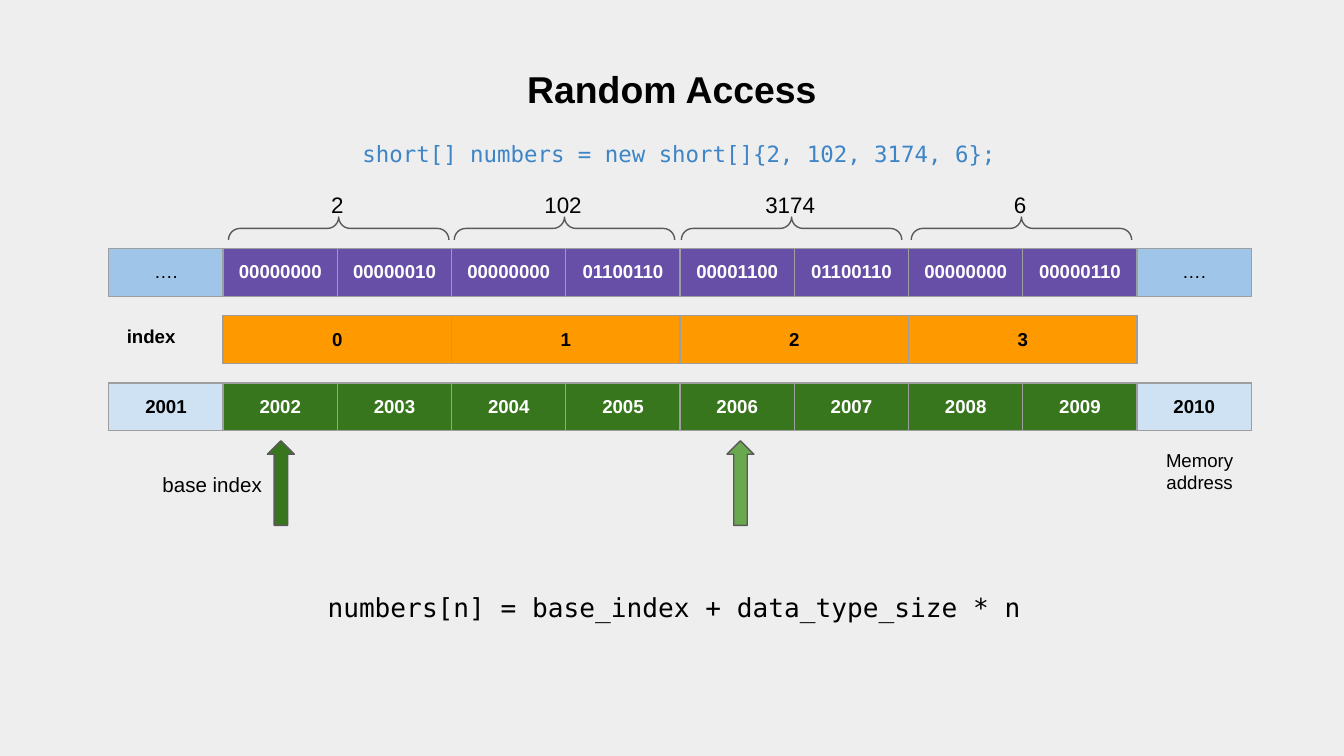
"""Build a slide on random access into an array of shorts."""
from lxml import etree
from pptx import Presentation
from pptx.dml.color import RGBColor
from pptx.enum.shapes import MSO_SHAPE
from pptx.enum.text import MSO_ANCHOR, PP_ALIGN
from pptx.oxml.ns import qn
from pptx.util import Inches, Pt

LEFT, CENTER = PP_ALIGN.LEFT, PP_ALIGN.CENTER
MIDDLE = MSO_ANCHOR.MIDDLE
BRACE, ARROW = MSO_SHAPE.LEFT_BRACE, MSO_SHAPE.UP_ARROW

BLACK = RGBColor(0x00, 0x00, 0x00)
WHITE = RGBColor(0xFF, 0xFF, 0xFF)
PAPER = RGBColor(0xEE, 0xEE, 0xEE)
OUTLINE = RGBColor(0x59, 0x59, 0x59)
BORDER = RGBColor(0x9E, 0x9E, 0x9E)
CODE_BLUE = RGBColor(0x3D, 0x85, 0xC6)
SKY = RGBColor(0x9F, 0xC5, 0xE8)
PALE_BLUE = RGBColor(0xCF, 0xE2, 0xF3)
PURPLE = RGBColor(0x67, 0x4E, 0xA7)
ORANGE = RGBColor(0xFF, 0x99, 0x00)
GREEN = RGBColor(0x38, 0x76, 0x1D)
LIGHT_GREEN = RGBColor(0x6A, 0xA8, 0x4F)

SANS, MONO = "Arial", "DejaVu Sans Mono"
SLIDE_WIDTH = 10
SLIDE_HEIGHT = SLIDE_WIDTH * 9 / 16
INSET = Inches(0.1)
GRID_LEFT, BYTE_WIDTH, ROW_HEIGHT = 0.81, 0.85, 0.33

TITLE = "Random Access"
BYTES = ["00000000", "00000010", "00000000", "01100110",
         "00001100", "01100110", "00000000", "00000110"]
BYTE_CELLS = [
    ("….", SKY, BLACK, False),
    *[(byte, PURPLE, WHITE, True) for byte in BYTES],
    ("….", SKY, BLACK, False),
]
INDEX_CELLS = [(str(index), ORANGE, BLACK, True) for index in range(4)]
ADDRESS_CELLS = [
    ("2001", PALE_BLUE, BLACK, True),
    *[(str(address), GREEN, WHITE, True) for address in range(2002, 2010)],
    ("2010", PALE_BLUE, BLACK, True),
]
ROWS = [
    (BYTE_CELLS, GRID_LEFT, 1.85, BYTE_WIDTH),
    (ADDRESS_CELLS, GRID_LEFT, 2.85, BYTE_WIDTH),
    (INDEX_CELLS, GRID_LEFT + BYTE_WIDTH, 2.35, 2 * BYTE_WIDTH),
]
VALUES = [("2", 2.52), ("102", 4.2), ("3174", 5.89), ("6", 7.6)]
ARROWS = [(1.99, GREEN), (5.41, LIGHT_GREEN)]
LABELS = [
    ("short[] numbers = new short[]{2, 102, 3174, 6};",
     (0.81, 0.94, 8.49, 0.4), MONO, 12, CODE_BLUE, False, CENTER),
    ("base index", (1.11, 3.42, 0.99, 0.39), SANS, 11, BLACK, False, LEFT),
    ("numbers[n] = base_index + data_type_size * n",
     (2.25, 4.3, 5.54, 0.44), MONO, 14, BLACK, False, CENTER),
    ("index", (0.81, 2.33, 0.63, 0.37), SANS, 10, BLACK, True, CENTER),
    ("Memory address", (8.48, 3.24, 0.89, 0.54), SANS, 10, BLACK, False, CENTER),
]


def write(frame, text, font_name, size, color, bold=False, align=CENTER):
    frame.text = text
    para = frame.paragraphs[0]
    para.alignment = align
    font = para.font
    font.name, font.size, font.bold = font_name, Pt(size), bold
    font.color.rgb = color
    return para


def set_insets(area):
    area.margin_left = area.margin_right = INSET
    area.margin_top = area.margin_bottom = INSET


def add_label(slide, text, place, *style):
    box = slide.shapes.add_textbox(*map(Inches, place))
    box.text_frame.word_wrap = True
    set_insets(box.text_frame)
    write(box.text_frame, text, *style)


def add_borders(cell):
    properties = cell._tc.get_or_add_tcPr()
    for position, side in enumerate(("lnL", "lnR", "lnT", "lnB")):
        line = etree.Element(qn(f"a:{side}"), w=str(Pt(0.75)))
        fill = etree.SubElement(line, qn("a:solidFill"))
        etree.SubElement(fill, qn("a:srgbClr"), val=str(BORDER))
        properties.insert(position, line)


def add_row(slide, cells, left, top, width):
    place = (left, top, width * len(cells), ROW_HEIGHT)
    table = slide.shapes.add_table(1, len(cells), *map(Inches, place)).table
    table.first_row = table.horz_banding = False
    for column, (text, fill, color, bold) in enumerate(cells):
        table.columns[column].width = Inches(width)
        cell = table.cell(0, column)
        cell.vertical_anchor = MIDDLE
        set_insets(cell)
        write(cell.text_frame, text, SANS, 10, color, bold)
        cell.fill.solid()
        cell.fill.fore_color.rgb = fill
        add_borders(cell)


def add_outlined(slide, kind, place, fill=None):
    shape = slide.shapes.add_shape(kind, *map(Inches, place))
    shape.shadow.inherit = False
    shape.adjustments[0] = shape.adjustments[1] = 0.5
    shape.line.color.rgb = OUTLINE
    shape.line.width = Pt(0.75)
    if fill is None:
        shape.fill.background()
    else:
        shape.fill.solid()
        shape.fill.fore_color.rgb = fill
    return shape


def add_title(slide):
    title = slide.shapes.title
    title.left, title.top = Inches(0), Inches(0.32)
    title.width, title.height = Inches(SLIDE_WIDTH), Inches(0.63)
    title.text_frame.vertical_anchor = MIDDLE
    set_insets(title.text_frame)
    para = write(title.text_frame, TITLE, SANS, 20, BLACK, True)
    para.line_spacing = 1.15
    para.space_before = Pt(0)


def main():
    deck = Presentation()
    deck.slide_width, deck.slide_height = Inches(SLIDE_WIDTH), Inches(SLIDE_HEIGHT)
    slide = deck.slides.add_slide(deck.slide_layouts[5])
    slide.background.fill.solid()
    slide.background.fill.fore_color.rgb = PAPER
    add_title(slide)
    for row in ROWS:
        add_row(slide, *row)
    for value, middle in VALUES:
        brace = add_outlined(slide, BRACE, (middle - 0.085, 0.88, 0.17, 1.64))
        brace.rotation = 90
        add_label(slide, value, (middle - 0.34, 1.32, 0.66, 0.4), SANS, 12, BLACK)
    for left, fill in ARROWS:
        add_outlined(slide, ARROW, (left, 3.28, 0.2, 0.63), fill)
    for label in LABELS:
        add_label(slide, *label)
    deck.save("out.pptx")


if __name__ == "__main__":
    main()
